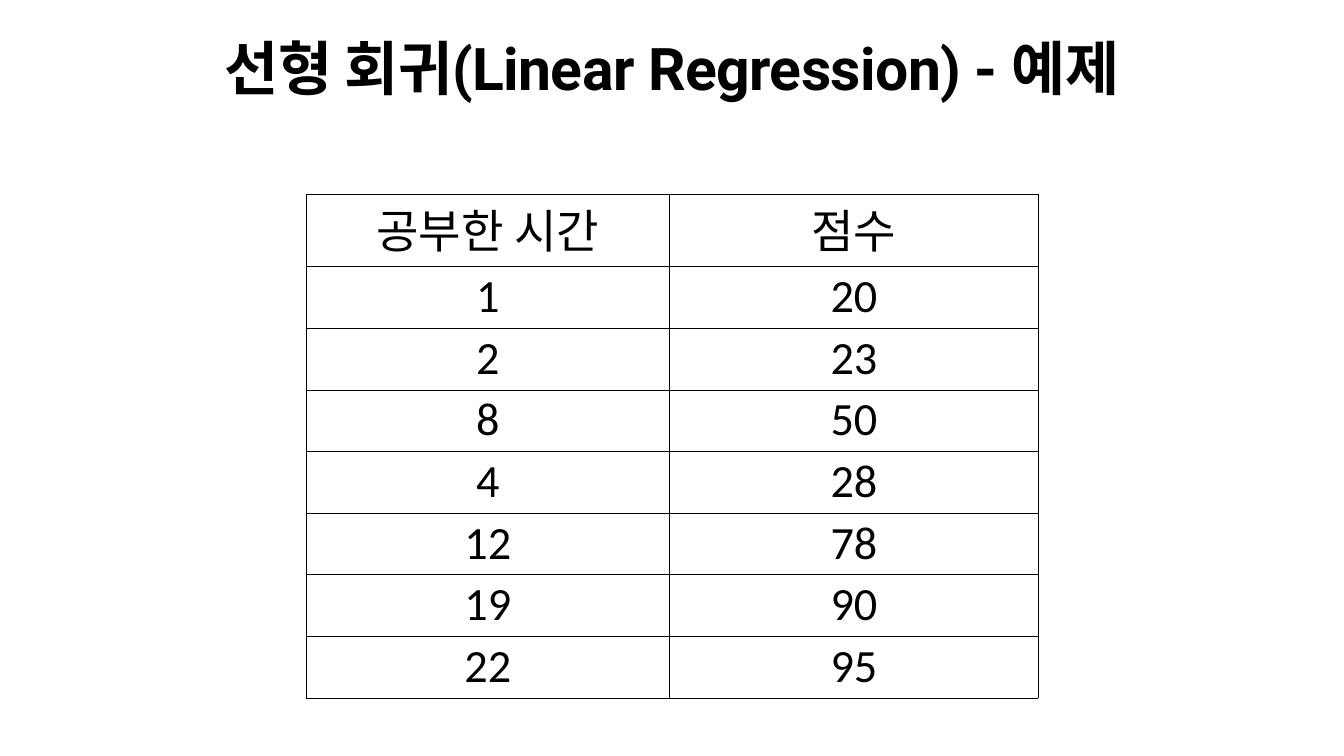
from dataclasses import dataclass

from lxml.etree import SubElement
from pptx import Presentation
from pptx.dml.color import RGBColor
from pptx.enum.text import MSO_ANCHOR, MSO_AUTO_SIZE, PP_ALIGN
from pptx.oxml.ns import qn
from pptx.slide import Slide
from pptx.table import _Cell
from pptx.text.text import TextFrame
from pptx.util import Pt

COLORS = {"ink": "000000"}
HEADER_HEIGHT, SCORE_HEIGHT = 103, 88
COLUMN_WIDTHS = (519.8, 526.3)


@dataclass
class TextStyle:
    """Look of one line of text."""
    font: str
    size: float
    line_spacing: float
    bold: bool = False
    tracking: float = 0


@dataclass
class StudyRecord:
    """One row of the table: study time and the score reached."""
    hours: str
    score: str


TITLE_STYLE = TextStyle("Roboto", 84, 0.8, bold=True, tracking=-0.8)
CELL_STYLE = TextStyle("Calibri", 66, 0.9)

RECORDS = [
    StudyRecord("공부한 시간", "점수"),
    StudyRecord("1", "20"),
    StudyRecord("2", "23"),
    StudyRecord("8", "50"),
    StudyRecord("4", "28"),
    StudyRecord("12", "78"),
    StudyRecord("19", "90"),
    StudyRecord("22", "95"),
]


def write_line(frame: TextFrame, text: str, style: TextStyle) -> None:
    """Write one centred line in the given style."""
    paragraph = frame.paragraphs[0]
    paragraph.alignment = PP_ALIGN.CENTER
    paragraph.line_spacing = style.line_spacing
    paragraph.space_before = Pt(0)
    run = paragraph.add_run()
    run.text = text
    run.font.name = style.font
    run.font.size = Pt(style.size)
    run.font.bold = style.bold
    run.font.color.rgb = RGBColor.from_string(COLORS["ink"])
    if style.tracking:
        run.font._element.set("spc", str(round(style.tracking * 100)))


def draw_borders(cell: _Cell, width: float) -> None:
    """Draw a solid line on all four sides of a cell."""
    properties = cell._tc.get_or_add_tcPr()
    for side in ("a:lnL", "a:lnR", "a:lnT", "a:lnB"):
        line = SubElement(properties, qn(side), w=str(Pt(width)))
        fill = SubElement(line, qn("a:solidFill"))
        SubElement(fill, qn("a:srgbClr"), val=COLORS["ink"])


def add_title(slide: Slide, text: str) -> None:
    """Place and fill the title placeholder."""
    title = slide.shapes.title
    title.left, title.top = Pt(96), Pt(61.2)
    title.width, title.height = Pt(1728), Pt(136)
    frame = title.text_frame
    frame.word_wrap = True
    frame.auto_size = MSO_AUTO_SIZE.NONE
    frame.vertical_anchor = MSO_ANCHOR.TOP
    frame.margin_left = frame.margin_right = Pt(4)
    frame.margin_top = frame.margin_bottom = Pt(4)
    write_line(frame, text, TITLE_STYLE)


def add_score_table(slide: Slide, records: list[StudyRecord]) -> None:
    """Add the ruled table of study times and scores."""
    height = HEADER_HEIGHT + SCORE_HEIGHT * (len(records) - 1)
    table = slide.shapes.add_table(
        len(records), len(COLUMN_WIDTHS), Pt(437), Pt(278),
        Pt(sum(COLUMN_WIDTHS)), Pt(height)).table
    table.first_row = table.horz_banding = False
    for column, width in zip(table.columns, COLUMN_WIDTHS):
        column.width = Pt(width)
    for index, record in enumerate(records):
        row = table.rows[index]
        row.height = Pt(SCORE_HEIGHT if index else HEADER_HEIGHT)
        for cell, value in zip(row.cells, (record.hours, record.score)):
            draw_borders(cell, 1)
            cell.fill.background()
            cell.vertical_anchor = MSO_ANCHOR.MIDDLE
            write_line(cell.text_frame, value, CELL_STYLE)


def build() -> None:
    """Build the slide and save it."""
    presentation = Presentation()
    presentation.slide_width, presentation.slide_height = Pt(1920), Pt(1080)
    slide = presentation.slides.add_slide(presentation.slide_layouts[5])
    add_title(slide, "선형 회귀(Linear Regression) - 예제")
    add_score_table(slide, RECORDS)
    presentation.save("out.pptx")


build()
